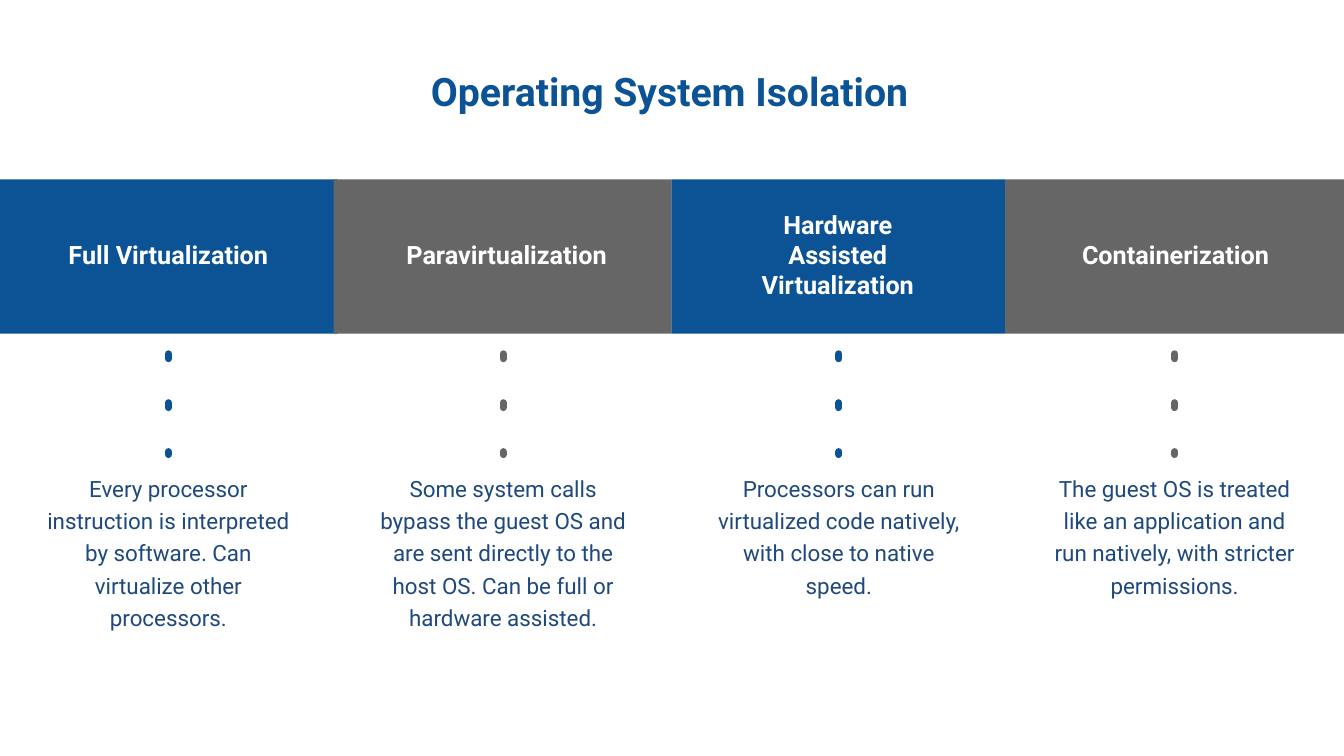
from lxml import etree
from pptx import Presentation
from pptx.dml.color import RGBColor
from pptx.enum.shapes import MSO_CONNECTOR as LINE, MSO_SHAPE as SHAPE
from pptx.enum.text import MSO_ANCHOR as ANCHOR, PP_ALIGN as ALIGN
from pptx.oxml import parse_xml
from pptx.oxml.ns import nsdecls, qn
from pptx.util import Inches, Pt

BLUE, GREY, NAVY, WHITE = "0B5394", "666666", "1F497D", "FFFFFF"
BAND_TOP, BAND_HEIGHT = 1.78, 1.53
LABEL_TOP, LABEL_HEIGHT = 2.02, 1.01
DOTS_TOP, DOTS_BOTTOM = 2.54, 4.51
NOTE_TOP, NOTE_WIDTH, NOTE_HEIGHT = 4.66, 2.51, 1.46

# heading, description, colour, band left and width, label left and width, column centre
COLUMNS = [
    ("Full Virtualization",
     "Every processor instruction is interpreted by software. "
     "Can virtualize other processors.",
     BLUE, 0, 3.35, 0.57, 2.2, 1.67),
    ("Paravirtualization",
     "Some system calls bypass the guest OS and are sent directly to the host OS. "
     "Can be full or hardware assisted.",
     GREY, 3.31, 3.35, 3.8, 2.45, 4.99),
    ("Hardware Assisted Virtualization",
     "Processors can run virtualized code natively, with close to native speed.",
     BLUE, 6.66, 3.31, 7.21, 2.2, 8.32),
    ("Containerization",
     "The guest OS is treated like an application and run natively, "
     "with stricter permissions.",
     GREY, 9.97, 3.36, 10.56, 2.2, 11.65),
]


def color(value):
    return RGBColor.from_string(value)


def write(sp, text, size, hex_color, bold=False, anchor=ANCHOR.TOP, inset=None, spacing=None):
    """Fill a shape with one centred, wrapped paragraph."""
    tf = sp.text_frame
    tf.word_wrap, tf.vertical_anchor = True, anchor
    if inset is not None:
        for side in ("left", "top", "right", "bottom"):
            setattr(tf, f"margin_{side}", Inches(inset))
    p = tf.paragraphs[0]
    p.alignment, p.line_spacing = ALIGN.CENTER, spacing
    r = p.add_run()
    r.text = text
    for name, value in {"name": "Roboto", "size": Pt(size), "bold": bold}.items():
        setattr(r.font, name, value)
    r.font.color.rgb = color(hex_color)


prs = Presentation()
prs.slide_width, prs.slide_height = Inches(13.33), Inches(7.5)
slide = prs.slides.add_slide(prs.slide_layouts[5])
shapes = slide.shapes

title = shapes.title
for name, value in {"left": 3.33, "top": 0.62, "width": 6.62, "height": 0.57}.items():
    setattr(title, name, Inches(value))
write(title, "Operating System Isolation", 28, BLUE, bold=True)

for heading, note, fill, left, width, label_left, label_width, centre in COLUMNS:
    dots = shapes.add_connector(LINE.STRAIGHT, Inches(centre), Inches(DOTS_TOP),
                                Inches(centre), Inches(DOTS_BOTTOM))
    dots.line.color.rgb, dots.line.width = color(fill), Pt(5)
    ln = dots.line._get_or_add_ln()
    ln.set("cap", "rnd")
    ln.append(parse_xml(f'<a:custDash {nsdecls("a")}><a:ds d="170000" sp="530000"/></a:custDash>'))
    etree.SubElement(ln, qn("a:round"))
    etree.SubElement(dots._element.spPr, qn("a:effectLst"))

    band = shapes.add_shape(SHAPE.RECTANGLE, Inches(left), Inches(BAND_TOP),
                            Inches(width), Inches(BAND_HEIGHT))
    band.shadow.inherit = False
    band.fill.solid()
    band.fill.fore_color.rgb = color(fill)
    band.line.fill.background()

    label = shapes.add_textbox(Inches(label_left), Inches(LABEL_TOP),
                               Inches(label_width), Inches(LABEL_HEIGHT))
    write(label, heading, 18, WHITE, bold=True, anchor=ANCHOR.MIDDLE)

    box = shapes.add_textbox(Inches(centre - NOTE_WIDTH / 2), Inches(NOTE_TOP),
                             Inches(NOTE_WIDTH), Inches(NOTE_HEIGHT))
    write(box, note, 16, NAVY, inset=0, spacing=1.2)

prs.save("out.pptx")
